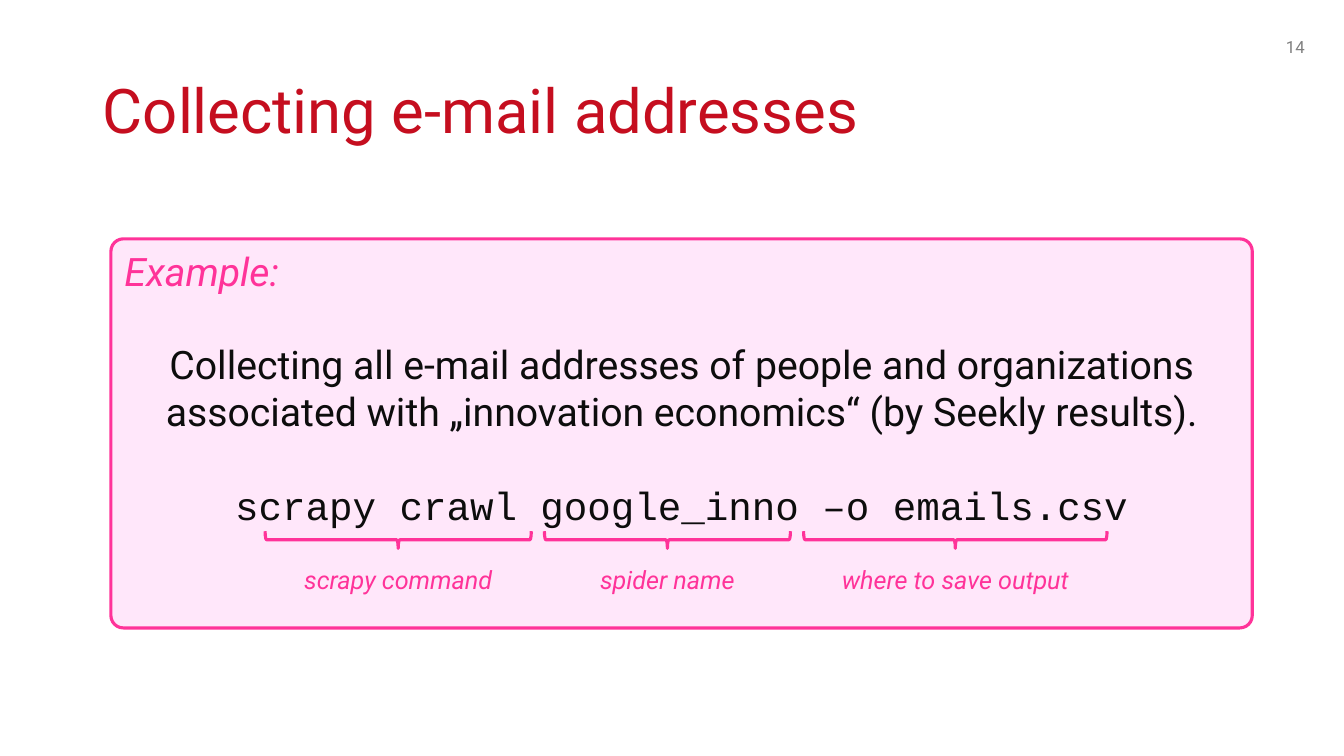
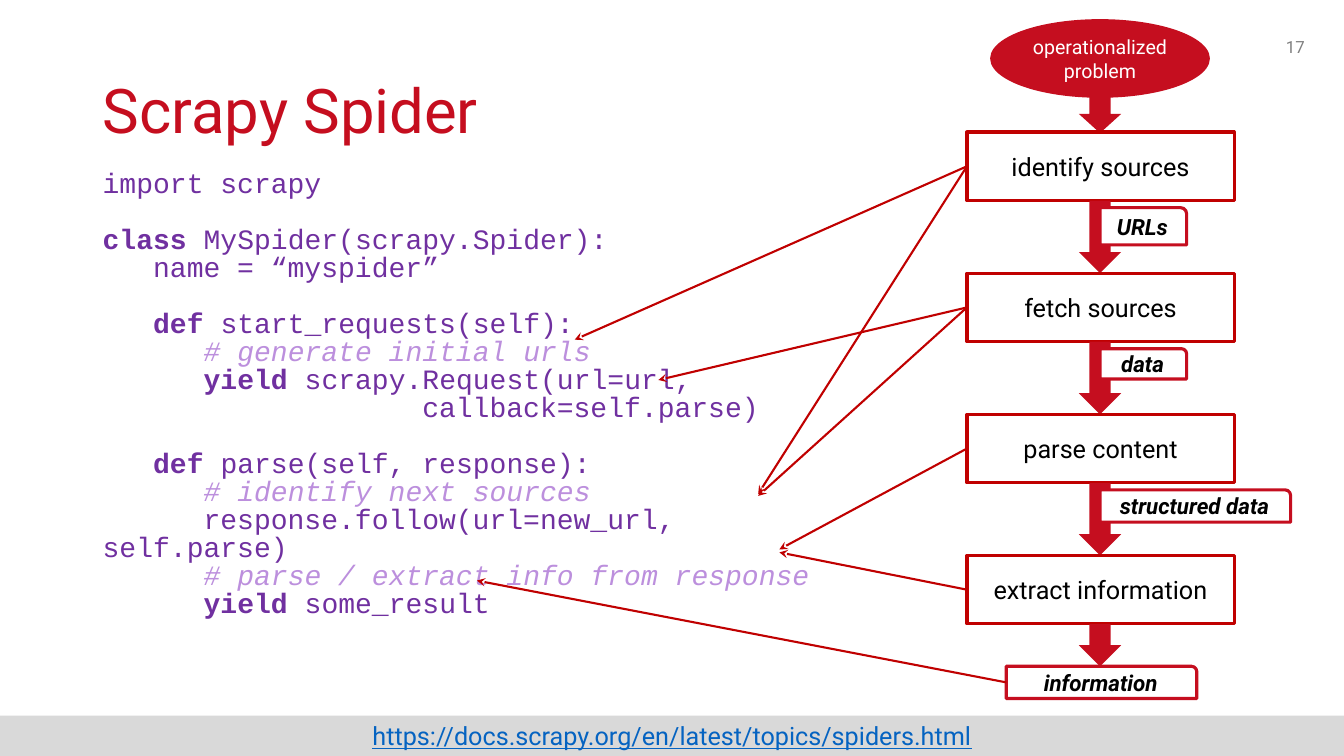
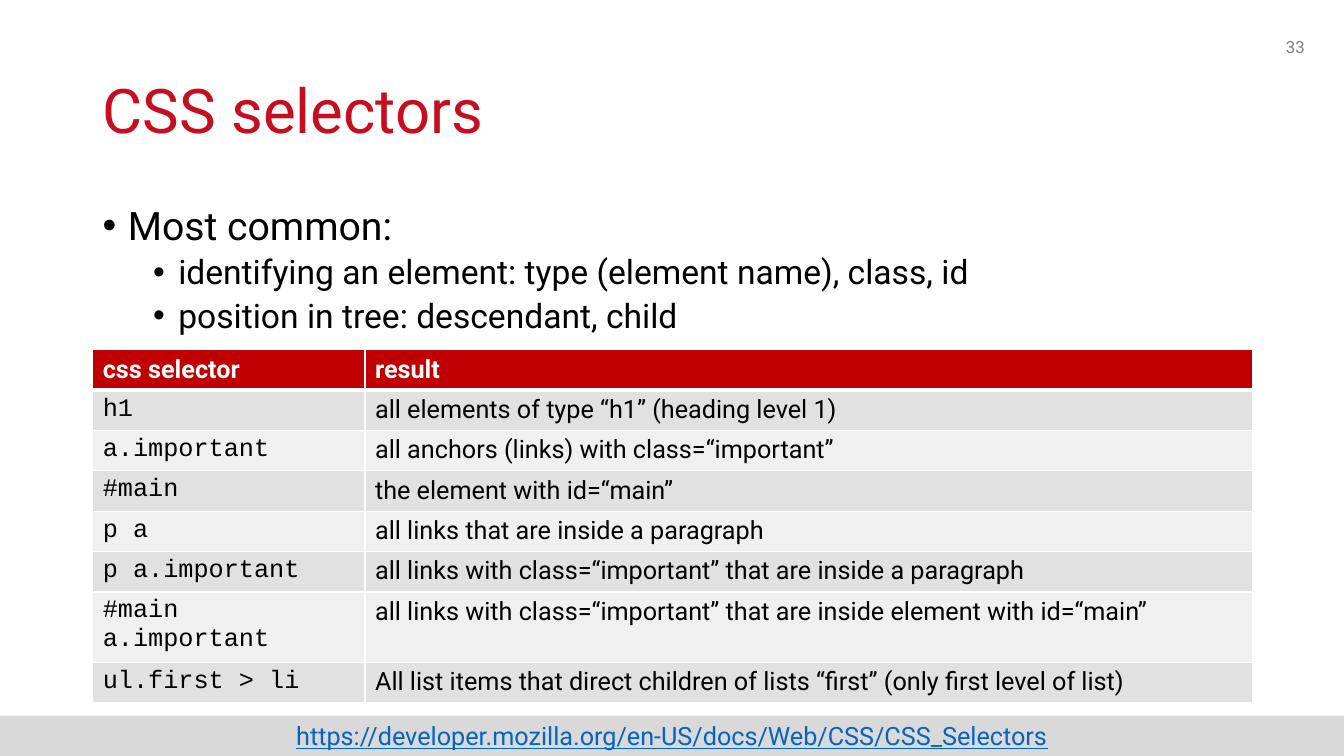
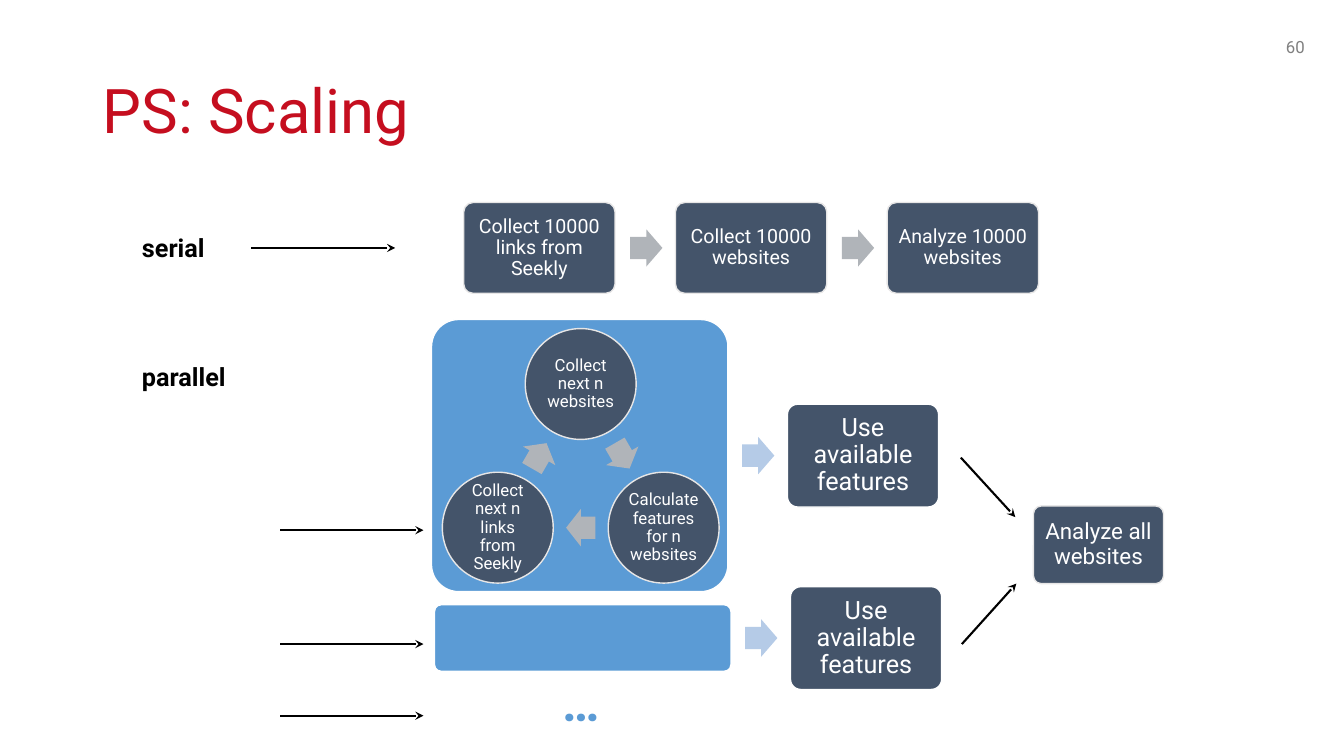
from math import cos, radians, sin

from lxml.etree import SubElement
from pptx import Presentation
from pptx.dml.color import RGBColor
from pptx.enum.shapes import MSO_CONNECTOR, MSO_SHAPE as SHAPE
from pptx.enum.text import MSO_ANCHOR as ANCHOR, MSO_AUTO_SIZE as AUTO, PP_ALIGN as ALIGN
from pptx.oxml.ns import qn
from pptx.oxml.xmlchemy import OxmlElement
from pptx.util import Pt

PX = 9144
SLIDE_W, SLIDE_H = 1333, 750
SANS, MONO = "Roboto", "Courier New"

BLACK = RGBColor(0x00, 0x00, 0x00)
WHITE = RGBColor(0xFF, 0xFF, 0xFF)
INK = RGBColor(0x0D, 0x0D, 0x0D)
RED = RGBColor(0xC5, 0x0E, 0x1F)
DARK_RED = RGBColor(0xC0, 0x00, 0x00)
PINK = RGBColor(0xFF, 0x33, 0x99)
PALE_PINK = RGBColor(0xFF, 0xE7, 0xFA)
PURPLE = RGBColor(0x70, 0x30, 0xA0)
LILAC = RGBColor(0xBC, 0x8F, 0xDD)
LINK_BLUE = RGBColor(0x05, 0x63, 0xC1)
PAGE_GREY = RGBColor(0x80, 0x80, 0x80)
BAND_GREY = RGBColor(0xD9, 0xD9, 0xD9)
ROW_DARK = RGBColor(0xE1, 0xE1, 0xE1)
ROW_LIGHT = RGBColor(0xF0, 0xF0, 0xF0)
SLATE = RGBColor(0x44, 0x54, 0x6A)
BLUE = RGBColor(0x5B, 0x9B, 0xD5)
PALE_BLUE = RGBColor(0xB5, 0xCB, 0xE7)
ARROW_GREY = RGBColor(0xB0, 0xB4, 0xB9)
EDGE_GREY = RGBColor(0xE7, 0xE6, 0xE6)

CODE = """import scrapy

class MySpider(scrapy.Spider):
   name = “myspider”

   def start_requests(self):
      # generate initial urls
      yield scrapy.Request(url=url,
                   callback=self.parse)

   def parse(self, response):
      # identify next sources
      response.follow(url=new_url, self.parse)
      # parse / extract info from response
      yield some_result"""
KEYWORDS = ("class", "def", "yield")

SELECTORS = [
    ("css selector", "result"),
    ("h1", "all elements of type “h1” (heading level 1)"),
    ("a.important", "all anchors (links) with class=“important”"),
    ("#main", "the element with id=“main”"),
    ("p a", "all links that are inside a paragraph"),
    ("p a.important", "all links with class=“important” that are inside a paragraph"),
    ("#main a.important", "all links with class=“important” that are inside element with id=“main”"),
    ("ul.first > li", "All list items that direct children of lists “first” (only first level of list)"),
]


def emu(*lengths):
    """Turn px lengths into EMU."""
    return [round(n * PX) for n in lengths]


def style(r, size, color, font=SANS, bold=False, italic=False):
    """Format one run."""
    f = r.font
    f.name, f.size, f.bold, f.italic = font, Pt(size), bold, italic
    f.color.rgb = color


def write(p, text, size, color, align=ALIGN.LEFT, spacing=None, **look):
    """Fill one paragraph and format its runs."""
    p.text = text
    p.alignment = align
    if spacing:
        p.line_spacing = spacing
    for r in p.runs:
        style(r, size, color, **look)


def add_shape(s, kind, box, fill=None, line=None, width=2.25, adj=(), rotation=0):
    """Add a flat preset shape."""
    sp = s.shapes.add_shape(kind, *emu(*box))
    sp.shadow.inherit = False
    sp.rotation = rotation
    for i, value in enumerate(adj):
        sp.adjustments[i] = value
    if fill is None:
        sp.fill.background()
    else:
        sp.fill.solid()
        sp.fill.fore_color.rgb = fill
    if line is None:
        sp.line.fill.background()
    else:
        sp.line.color.rgb = line
        sp.line.width = Pt(width)
    return sp


def label(sp, text, size, color, anchor=ANCHOR.MIDDLE, margin=None, **look):
    """Write centred text inside a shape."""
    tf = sp.text_frame
    tf.word_wrap = True
    tf.vertical_anchor = anchor
    if margin is not None:
        tf.margin_left = tf.margin_right = tf.margin_top = tf.margin_bottom = margin * PX
    write(tf.paragraphs[0], text, size, color, ALIGN.CENTER, **look)


def add_text(s, box, text, size, color, align=ALIGN.LEFT, anchor=ANCHOR.TOP, **look):
    """Add a one-paragraph text box."""
    tf = s.shapes.add_textbox(*emu(*box)).text_frame
    tf.word_wrap = True
    tf.vertical_anchor = anchor
    write(tf.paragraphs[0], text, size, color, align, **look)


def add_arrow(s, x1, y1, x2, y2, color=BLACK):
    """Add a thin line with a stealth head at its end."""
    line = s.shapes.add_connector(MSO_CONNECTOR.STRAIGHT, *emu(x1, y1, x2, y2))
    line.line.color.rgb = color
    line.line.width = Pt(1.5)
    SubElement(line.line._get_or_add_ln(), qn("a:tailEnd"), type="stealth")
    SubElement(line._element.spPr, qn("a:effectLst"))
    return line


def new_slide(prs, title, page):
    """Start a slide with its title and page number."""
    s = prs.slides.add_slide(prs.slide_layouts[5])
    sp = s.shapes.title
    sp.left, sp.top, sp.width, sp.height = emu(92, 40, 1150, 145)
    tf = sp.text_frame
    tf.auto_size = AUTO.NONE
    tf.vertical_anchor = ANCHOR.MIDDLE
    write(tf.paragraphs[0], title, 44, RED, spacing=0.9)
    add_text(s, (1004, 26, 300, 40), page, 12, PAGE_GREY, ALIGN.RIGHT, ANCHOR.MIDDLE)
    return s


def add_source_band(s, address):
    """Add the grey bottom band with a web address."""
    sp = add_shape(s, SHAPE.RECTANGLE, (0, 710, SLIDE_W, 40), BAND_GREY)
    label(sp, address, 18, LINK_BLUE, ANCHOR.TOP)
    sp.text_frame.paragraphs[0].runs[0].font.underline = True


def add_example(s, x, y, w, h):
    """Add the example panel with its braces."""
    sp = add_shape(s, SHAPE.ROUNDED_RECTANGLE, (x, y, w, h), PALE_PINK, PINK, adj=[0.032])
    tf = sp.text_frame
    tf.word_wrap = True
    tf.vertical_anchor = ANCHOR.TOP
    write(tf.paragraphs[0], "Example:", 28, PINK, italic=True)
    task = ("Collecting all e-mail addresses of people and organizations "
            "associated with „innovation economics“ (by Seekly results).")
    for text, font in ((task, SANS), ("scrapy crawl google_inno –o emails.csv", MONO)):
        p = tf.add_paragraph()
        write(p, text, 28, INK, ALIGN.CENTER, font=font)
        p.space_before = Pt(33)
    parts = [(153, 264, "scrapy command"), (430, 244, "spider name"), (687, 301, "where to save output")]
    for dx, length, text in parts:
        add_brace(s, x + dx, y + 290, length, 17)
        add_text(s, (x + dx, y + 318, length, 40), text, 18, PINK, ALIGN.CENTER, italic=True)


def add_brace(s, x, y, w, h):
    """Add a brace that lies flat in the box and points down."""
    box = (x + (w - h) / 2, y + (h - w) / 2, h, w)
    add_shape(s, SHAPE.LEFT_BRACE, box, line=PINK, rotation=270)


def add_code(s, box):
    """Add the program listing with coloured syntax."""
    tf = s.shapes.add_textbox(*emu(*box)).text_frame
    tf.word_wrap = True
    p = tf.paragraphs[0]
    for i, block in enumerate(CODE.split("\n\n")):
        for j, line in enumerate(block.split("\n")):
            if i or j:
                p = tf.add_paragraph()
            p.line_spacing = Pt(20)
            if i and not j:
                p.space_before = Pt(20)
            add_code_line(p, line)


def add_code_line(p, line):
    """Split a code line into indent, keyword and rest."""
    rest = line.lstrip()
    indent = line[:len(line) - len(rest)]
    word = rest.split()[0]
    keyword = word if word in KEYWORDS else ""
    comment = word == "#"
    pieces = [(indent, PURPLE, False, False), (keyword, PURPLE, True, False),
              (rest[len(keyword):], LILAC if comment else PURPLE, False, comment)]
    for text, color, bold, italic in pieces:
        if text:
            r = p.add_run()
            r.text = text
            style(r, 20, color, MONO, bold, italic)


def add_flow(s, x, y):
    """Add the column of steps and return the steps and the result."""
    w, h, pitch, arrow_w = 265, 68, 140, 42
    middle = x + w // 2
    arrow_x = middle - arrow_w // 2
    sp = add_shape(s, SHAPE.OVAL, (middle - 109, y - 112, 218, 78), RED)
    label(sp, "operationalized problem", 14, WHITE)
    add_shape(s, SHAPE.DOWN_ARROW, (arrow_x, y - 37, arrow_w, 38), RED)
    steps = [("identify sources", "URLs", 86, 37), ("fetch sources", "data", 86, 30),
             ("parse content", "structured data", 189, 32),
             ("extract information", "information", 189, 32)]
    shapes = []
    for i, (step, output, out_w, out_h) in enumerate(steps):
        top = y + i * pitch
        last = i == len(steps) - 1
        sp = add_shape(s, SHAPE.RECTANGLE, (x, top, w, h), WHITE, DARK_RED)
        label(sp, step, 18, BLACK)
        shapes.append(sp)
        add_shape(s, SHAPE.DOWN_ARROW, (arrow_x, top + h, arrow_w, 42 if last else pitch - h), RED)
        out_x, out_y = (x + 39, top + 110) if last else (middle, top + 75)
        out = add_shape(s, SHAPE.ROUND_1_RECTANGLE, (out_x, out_y, out_w, out_h), WHITE, RED)
        label(out, output, 16, BLACK, bold=True, italic=True)
    return shapes + [out]


def add_bullets(s, box, items):
    """Add bulleted paragraphs of level 0 or 1."""
    tf = s.shapes.add_textbox(*emu(*box)).text_frame
    tf.word_wrap = True
    for i, (level, text) in enumerate(items):
        p = tf.add_paragraph() if i else tf.paragraphs[0]
        pPr = p._p.get_or_add_pPr()
        pPr.set("marL", str((25 + 50 * level) * PX))
        pPr.set("indent", str(-25 * PX))
        SubElement(pPr, qn("a:buFont"), typeface="Arial")
        SubElement(pPr, qn("a:buChar"), char="•")
        p.level = level
        write(p, text, 28 - 4 * level, BLACK, spacing=0.9)
        if i:
            p.space_before = Pt(5)


def set_borders(cell, bottom):
    """Give a cell white borders, with its own bottom width."""
    tcPr = cell._tc.get_or_add_tcPr()
    for i, (side, width) in enumerate((("L", 1), ("R", 1), ("T", 1), ("B", bottom))):
        ln = OxmlElement(f"a:ln{side}")
        ln.set("w", str(Pt(width)))
        fill = SubElement(ln, qn("a:solidFill"))
        SubElement(fill, qn("a:srgbClr"), val=str(WHITE))
        tcPr.insert(i, ln)


def add_selector_table(s, x, y):
    """Add the table of selectors."""
    widths, heights = (270, 880), [40] * 6 + [70, 40]
    frame = s.shapes.add_table(len(SELECTORS), 2, *emu(x, y, sum(widths), sum(heights)))
    table = frame.table
    for column, width in zip(table.columns, widths):
        column.width = width * PX
    for i, (row, texts) in enumerate(zip(table.rows, SELECTORS)):
        row.height = heights[i] * PX
        header = i == 0
        for j, cell in enumerate(row.cells):
            cell.fill.solid()
            cell.fill.fore_color.rgb = DARK_RED if header else (ROW_LIGHT, ROW_DARK)[i % 2]
            set_borders(cell, 3 if header else 1)
            write(cell.text_frame.paragraphs[0], texts[j], 18, WHITE if header else BLACK,
                  font=SANS if header or j else MONO, bold=header)


def add_card(s, box, text, size, margin, edge=EDGE_GREY, kind=SHAPE.ROUNDED_RECTANGLE):
    """Add a slate card or circle with white text."""
    adj = [0.1] if kind == SHAPE.ROUNDED_RECTANGLE else []
    sp = add_shape(s, kind, box, SLATE, edge, 1, adj)
    label(sp, text, size, WHITE, margin=margin, spacing=0.9)


def add_block_arrow(s, cx, cy, w, color, rotation=0):
    """Add a block arrow around a centre."""
    box = (cx - w / 2, cy - 18.5, w, 37)
    add_shape(s, SHAPE.RIGHT_ARROW, box, color, adj=[0.6, 0.5], rotation=rotation)


def add_serial(s, x, y):
    """Add the row of serial steps."""
    w, h, pitch = 150, 90, 210
    steps = ["Collect 10000 links from Seekly", "Collect 10000 websites", "Analyze 10000 websites"]
    for i, text in enumerate(steps):
        left = x + i * pitch
        add_card(s, (left, y, w, h), text, 14, 6)
        if i:
            add_block_arrow(s, left - 29, y + h / 2, 32, ARROW_GREY)


def add_branch(s, x, y, h):
    """Add a parallel branch: panel, arrow and card."""
    middle = y + h // 2
    add_shape(s, SHAPE.ROUNDED_RECTANGLE, (x, y, 294, h), BLUE, WHITE, 1, [0.1])
    add_block_arrow(s, x + 324, middle, 32, PALE_BLUE)
    add_card(s, (x + 353, middle - 51, 150, 102), "Use available features", 18, 7, WHITE)


def add_cycle(s, cx, cy):
    """Add three circles around a centre, with arrows between them."""
    radius, size = 95, 110
    steps = ["Collect next n websites", "Calculate features for n websites",
             "Collect next n links from Seekly"]
    for i, text in enumerate(steps):
        angle = radians(120 * i - 90)
        left = cx + radius * cos(angle) - size / 2
        top = cy + radius * sin(angle) - size / 2
        add_card(s, (left, top, size, size), text, 12, 2, kind=SHAPE.OVAL)
        angle += radians(60)
        add_block_arrow(s, cx + radius / 2 * cos(angle), cy + radius / 2 * sin(angle),
                        29, ARROW_GREY, 60 + 120 * i)


def example_slide(prs):
    """Build the e-mail example slide."""
    s = new_slide(prs, "Collecting e-mail addresses", "14")
    add_example(s, 110, 237, 1132, 386)


def spider_slide(prs):
    """Build the slide that links code to steps."""
    s = new_slide(prs, "Scrapy Spider", "17")
    add_code(s, (92, 165, 783, 532))
    add_source_band(s, "https://docs.scrapy.org/en/latest/topics/spiders.html")
    shapes = add_flow(s, 959, 131)
    targets = [(0, 570, 337), (1, 653, 377), (2, 773, 545), (0, 752, 490),
               (1, 752, 492), (3, 773, 548), (4, 473, 576)]
    for i, x, y in targets:
        line = add_arrow(s, 959, 165, x, y, DARK_RED)
        line.begin_connect(shapes[i], 1)


def selector_slide(prs):
    """Build the selector slide."""
    s = new_slide(prs, "CSS selectors", "33")
    add_bullets(s, (92, 200, 1150, 140), [
        (0, "Most common:"),
        (1, "identifying an element: type (element name), class, id"),
        (1, "position in tree: descendant, child"),
    ])
    add_source_band(s, "https://developer.mozilla.org/en-US/docs/Web/CSS/CSS_Selectors")
    add_selector_table(s, 92, 347)


def scaling_slide(prs):
    """Build the serial and parallel slide."""
    s = new_slide(prs, "PS: Scaling", "60")
    for text, y in (("serial", 226), ("parallel", 354)):
        add_text(s, (131, y, 110, 40), text, 18, BLACK, bold=True)
    add_serial(s, 460, 201)
    add_branch(s, 428, 317, 270)
    add_cycle(s, 576, 476)
    add_branch(s, 431, 600, 66)
    add_text(s, (547, 661, 58, 71), "…", 36, BLUE, ALIGN.CENTER, bold=True)
    add_card(s, (1025, 502, 129, 77), "Analyze all websites", 16, 9)
    add_arrow(s, 249, 246, 392, 246)
    for y in (526, 639, 710):
        add_arrow(s, 278, y, 420, y)
    add_arrow(s, 953, 454, 1007, 513)
    add_arrow(s, 954, 639, 1008, 579)


def main():
    """Build and save the presentation."""
    prs = Presentation()
    prs.slide_width, prs.slide_height = emu(SLIDE_W, SLIDE_H)
    for build in (example_slide, spider_slide, selector_slide, scaling_slide):
        build(prs)
    prs.save("out.pptx")


if __name__ == "__main__":
    main()
